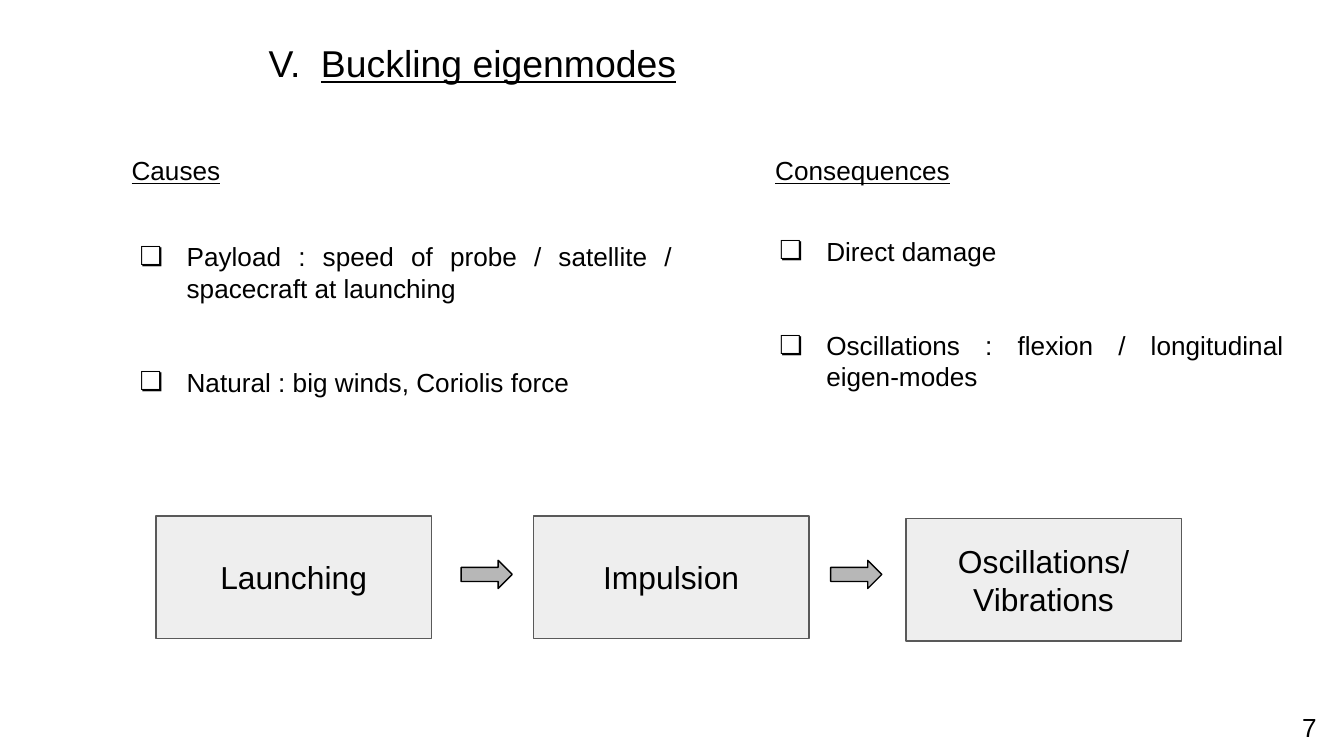
from dataclasses import dataclass

from lxml import etree
from pptx import Presentation
from pptx.dml.color import RGBColor
from pptx.enum.shapes import MSO_SHAPE
from pptx.enum.text import MSO_ANCHOR, PP_ALIGN
from pptx.oxml.ns import qn
from pptx.util import Pt

RECTANGLE, RIGHT_ARROW = MSO_SHAPE.RECTANGLE, MSO_SHAPE.RIGHT_ARROW
LEFT, CENTER, JUSTIFY = PP_ALIGN.LEFT, PP_ALIGN.CENTER, PP_ALIGN.JUSTIFY
MIDDLE = MSO_ANCHOR.MIDDLE

BLACK = RGBColor(0x00, 0x00, 0x00)
STEP_FILL = RGBColor(0xEE, 0xEE, 0xEE)
STEP_LINE = RGBColor(0x59, 0x59, 0x59)
ARROW_FILL = RGBColor(0xB7, 0xB7, 0xB7)

FONT = "Arial"
BODY_SIZE, STEP_SIZE, TITLE_SIZE = 14, 17, 20
INSET = 7.2
HANGING_MARGIN = 36
ITEM_GAP = 33.6  # two body lines


@dataclass(frozen=True)
class Box:
    left: float
    top: float
    width: float
    height: float


@dataclass(frozen=True)
class Column:
    heading: str
    heading_box: Box
    items: tuple[str, ...]
    items_box: Box


@dataclass(frozen=True)
class Step:
    label: str
    left: float
    top: float


COLUMNS = (
    Column("Causes", Box(63.4, 75.6, 74.9, 31.7),
           ("Payload : speed of probe / satellite / spacecraft at launching",
            "Natural : big winds, Coriolis force"),
           Box(56.9, 121.7, 310.3, 99.4)),
    Column("Consequences", Box(408.2, 75.6, 111.6, 31.7),
           ("Direct damage",
            "Oscillations : flexion / longitudinal eigen-modes"),
           Box(399.6, 118.8, 295.2, 99.4)),
)
STEPS = (
    Step("Launching", 83.5, 276.5),
    Step("Impulsion", 285.8, 276.5),
    Step("Oscillations/\nVibrations", 485.3, 277.9),
)
STEP_WIDTH, STEP_HEIGHT = 147.6, 65.5
ARROW_LEFTS = (247, 445)
ARROW_TOP, ARROW_WIDTH, ARROW_HEIGHT = 300.2, 27.4, 15.1


def write(frame, text: str, size: float, align=LEFT, underline: bool = False) -> None:
    """Fill a text frame, one paragraph per line of text."""
    frame.word_wrap = True
    frame.margin_left = frame.margin_right = Pt(INSET)
    frame.margin_top = frame.margin_bottom = Pt(INSET)
    frame.text = text
    for paragraph in frame.paragraphs:
        paragraph.alignment = align
        for run in paragraph.runs:
            run.font.name = FONT
            run.font.size = Pt(size)
            run.font.color.rgb = BLACK
            run.font.underline = underline


def add_text(slide, box: Box, text: str, size: float, align=LEFT, underline: bool = False):
    area = slide.shapes.add_textbox(
        Pt(box.left), Pt(box.top), Pt(box.width), Pt(box.height))
    write(area.text_frame, text, size, align, underline)
    return area.text_frame


def add_bullet(paragraph, hanging: float, tag: str, **attributes: str) -> None:
    """Give a paragraph a hanging black bullet or number."""
    properties = paragraph._p.get_or_add_pPr()
    properties.set("marL", str(Pt(HANGING_MARGIN)))
    properties.set("indent", str(-Pt(hanging)))
    colour = etree.SubElement(properties, qn("a:buClr"))
    etree.SubElement(colour, qn("a:srgbClr"), val=str(BLACK))
    etree.SubElement(properties, qn("a:buFont"), typeface=FONT)
    etree.SubElement(properties, qn(tag), **attributes)


def add_column(slide, column: Column) -> None:
    add_text(slide, column.heading_box, column.heading, BODY_SIZE, underline=True)
    items = add_text(slide, column.items_box, "\n".join(column.items), BODY_SIZE, JUSTIFY)
    for index, item in enumerate(items.paragraphs):
        item.space_before = Pt(ITEM_GAP if index else 0)
        add_bullet(item, 25.2, "a:buChar", char="❏")


def add_outlined(slide, preset, box: Box, fill: RGBColor, line: RGBColor):
    shape = slide.shapes.add_shape(
        preset, Pt(box.left), Pt(box.top), Pt(box.width), Pt(box.height))
    shape.shadow.inherit = False
    shape.fill.solid()
    shape.fill.fore_color.rgb = fill
    shape.line.color.rgb = line
    shape.line.width = Pt(0.75)
    return shape


def add_step(slide, step: Step) -> None:
    box = Box(step.left, step.top, STEP_WIDTH, STEP_HEIGHT)
    frame = add_outlined(slide, RECTANGLE, box, STEP_FILL, STEP_LINE).text_frame
    write(frame, step.label, STEP_SIZE, CENTER)
    frame.vertical_anchor = MIDDLE


def main() -> None:
    deck = Presentation()
    deck.slide_width, deck.slide_height = Pt(720), Pt(405)
    slide = deck.slides.add_slide(deck.slide_layouts[6])

    # Title and page number
    title = add_text(slide, Box(128.9, 14.4, 247.7, 38.2),
                     "Buckling eigenmodes", TITLE_SIZE, underline=True)
    add_bullet(title.paragraphs[0], 28.1, "a:buAutoNum",
               type="romanUcPeriod", startAt="5")
    add_text(slide, Box(690.5, 373.7, 23, 31.7), "7", BODY_SIZE)

    # Causes and consequences
    for column in COLUMNS:
        add_column(slide, column)

    # Chain of events
    for step in STEPS:
        add_step(slide, step)
    for left in ARROW_LEFTS:
        add_outlined(slide, RIGHT_ARROW,
                     Box(left, ARROW_TOP, ARROW_WIDTH, ARROW_HEIGHT),
                     ARROW_FILL, BLACK)

    deck.save("out.pptx")


if __name__ == "__main__":
    main()
